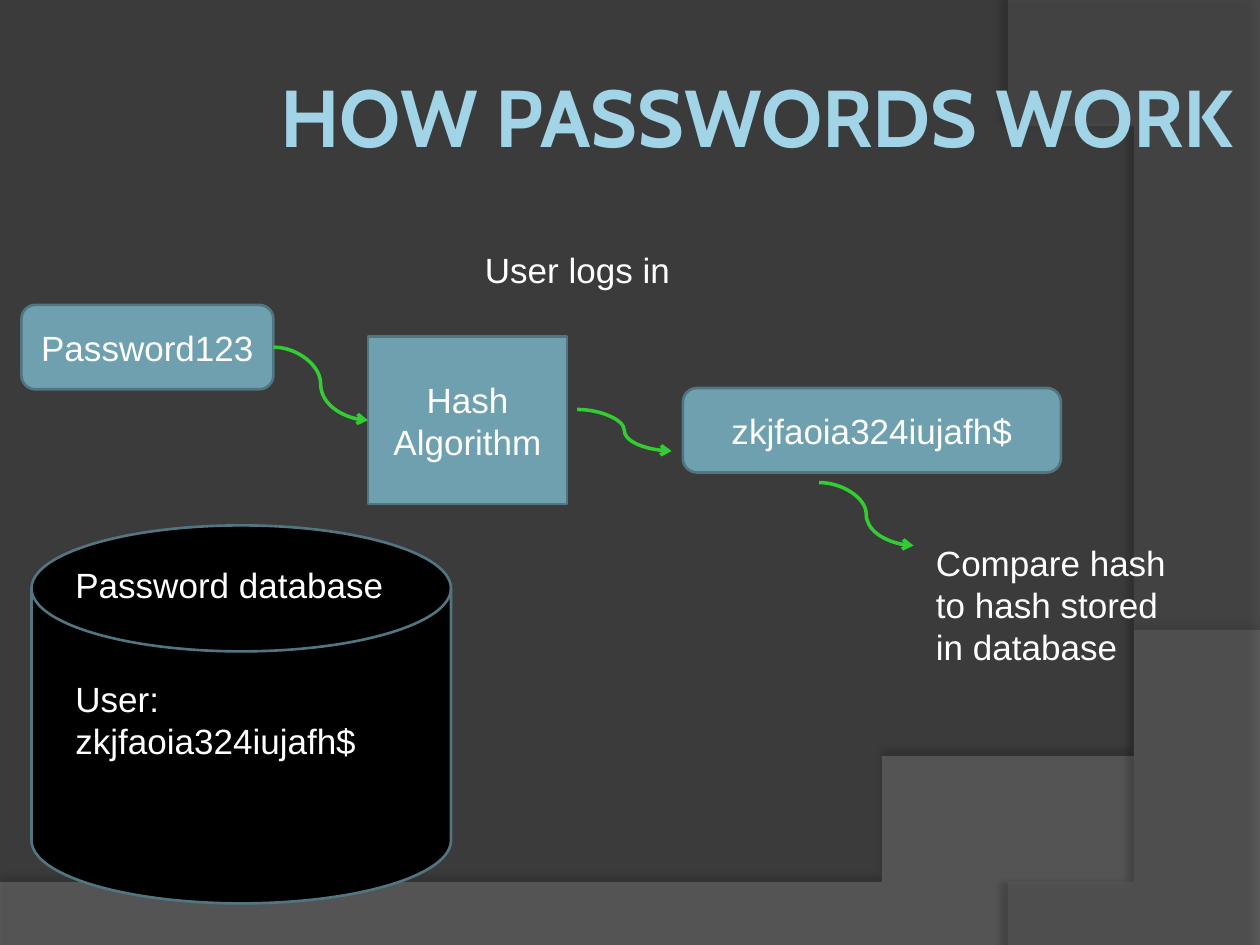
"""Build the slide that shows how password hashing works."""
import pptx
import pptx.dml.color
import pptx.enum.shapes
import pptx.enum.text
import pptx.oxml
import pptx.oxml.ns
import pptx.util

Inches, Pt = pptx.util.Inches, pptx.util.Pt
SHAPE = pptx.enum.shapes.MSO_SHAPE
ALIGN = pptx.enum.text.PP_ALIGN
ANCHOR = pptx.enum.text.MSO_ANCHOR
NS = pptx.oxml.ns.nsdecls("a")

BACKGROUND, WHITE, GREEN = "3B3B3B", "FFFFFF", "33CC33"
TITLE_COLOUR, BOX_FILL, BOX_LINE = "A1D4E7", "6EA0B0", "517682"

TITLE = "HOW PASSWORDS WORK"
HASH = "zkjfaoia324iujafh$"
SWEEPS = [
    {"curve": [(10, 5.2), (5.59, 7.29), (3.91, 7.19), (0, 7.05)],
     "corners": [(0, 7.5), (10, 7.5)],
     "fill": "7F7F7F", "opacity": 45, "shadow": (35, 4, 3.5, 270)},
    {"curve": [(8.21, 7.5), (9.35, 6.19), (10.18, 3), (8, 0)],
     "corners": [(10, 0.02), (10, 7.5)],
     "fill": "5E5E5E", "opacity": 40, "shadow": (45, 4, 4, 180)},
]
DATABASE = (SHAPE.FLOWCHART_MAGNETIC_DISK, "", (0.25, 4.17, 3.33, 3), "000000")
STEPS = [
    (SHAPE.ROUNDED_RECTANGLE, "Password123", (0.17, 2.42, 2, 0.67), BOX_FILL),
    (SHAPE.RECTANGLE, "Hash Algorithm", (2.92, 2.67, 1.58, 1.33), BOX_FILL),
    (SHAPE.ROUNDED_RECTANGLE, HASH, (5.42, 3.08, 3, 0.67), BOX_FILL),
]
LABELS = [
    ("User logs in", (3.75, 1.92, 3.08, 0.44)),
    ("Password database", (0.5, 4.42, 3, 0.44)),
    ("User: " + HASH, (0.5, 5.33, 2.83, 0.77)),
    ("Compare hash to hash stored in database", (7.33, 4.25, 2.25, 1.11)),
]
ARROWS = [
    ((2.17, 2.75), (2.92, 3.33)),
    ((4.58, 3.25), (5.33, 3.58)),
    ((6.5, 3.83), (7.25, 4.33)),
]


def rgb(colour):
    return pptx.dml.color.RGBColor.from_string(colour)


def paint(fill, colour):
    fill.solid()
    fill.fore_color.rgb = rgb(colour)


def write(frame, text, align, size=20, font="Arial", colour=WHITE, bold=False):
    frame.word_wrap = True
    paragraph = frame.paragraphs[0]
    paragraph.alignment = align
    run = paragraph.add_run()
    run.text = text
    run.font.size, run.font.name, run.font.bold = Pt(size), font, bold
    run.font.color.rgb = rgb(colour)


def bezier(start, first, second, end, steps=60):
    for step in range(steps + 1):
        t = step / steps
        weights = ((1 - t) ** 3, 3 * t * (1 - t) ** 2, 3 * t * t * (1 - t), t ** 3)
        yield tuple(sum(w * p for w, p in zip(weights, axis))
                    for axis in zip(start, first, second, end))


def add_sweep(slide, curve, corners, fill, opacity, shadow):
    points = list(bezier(*curve)) + corners
    builder = slide.shapes.build_freeform(*points[0], scale=Inches(1))
    builder.add_line_segments(points[1:], close=True)
    sweep = builder.convert_to_shape()
    paint(sweep.fill, fill)
    sweep.line.fill.background()
    properties = sweep._element.spPr
    colour = properties.find(".//" + pptx.oxml.ns.qn("a:srgbClr"))
    colour.append(pptx.oxml.parse_xml(f'<a:alpha {NS} val="{opacity * 1000}"/>'))
    strength, blur, distance, angle = shadow
    properties.append(pptx.oxml.parse_xml(
        f'<a:effectLst {NS}><a:outerShdw blurRad="{Pt(blur)}" dist="{Pt(distance)}" '
        f'dir="{angle * 60000}" algn="ctr" rotWithShape="0"><a:srgbClr val="000000">'
        f'<a:alpha val="{strength * 1000}"/></a:srgbClr></a:outerShdw></a:effectLst>'))


def add_title(slide):
    title = slide.shapes.title
    slide.shapes._spTree.append(title._element)
    title.left, title.top, title.width, title.height = map(Inches, (1.67, 0.29, 8.17, 1.25))
    frame = title.text_frame
    frame.margin_left = frame.margin_right = Inches(0.05)
    frame.margin_top = frame.margin_bottom = Inches(0.05)
    frame.vertical_anchor = ANCHOR.MIDDLE
    write(frame, TITLE, ALIGN.RIGHT, 46, "Cabin", TITLE_COLOUR, True)


def add_box(slide, kind, text, place, fill):
    box = slide.shapes.add_shape(kind, *map(Inches, place))
    box.shadow.inherit = False
    paint(box.fill, fill)
    box.line.color.rgb = rgb(BOX_LINE)
    box.line.width = Pt(1.5)
    if text:
        box.text_frame.vertical_anchor = ANCHOR.MIDDLE
        write(box.text_frame, text, ALIGN.CENTER)
    return box


def add_label(slide, text, place):
    label = slide.shapes.add_textbox(*map(Inches, place))
    write(label.text_frame, text, ALIGN.LEFT)


def add_arrow(slide, start, end):
    arrow = slide.shapes.add_connector(
        pptx.enum.shapes.MSO_CONNECTOR.CURVE, *map(Inches, start + end))
    arrow.line.color.rgb = rgb(GREEN)
    arrow.line.width = Pt(2)
    arrow.line._get_or_add_ln().append(
        pptx.oxml.parse_xml(f'<a:tailEnd {NS} type="arrow"/>'))
    arrow._element.spPr.append(pptx.oxml.parse_xml(f"<a:effectLst {NS}/>"))
    return arrow


def main():
    deck = pptx.Presentation()
    deck.slide_width, deck.slide_height = Inches(10), Inches(7.5)
    slide = deck.slides.add_slide(deck.slide_layouts[5])
    paint(slide.background.fill, BACKGROUND)
    for sweep in SWEEPS:
        add_sweep(slide, **sweep)
    add_title(slide)
    add_box(slide, *DATABASE)
    password, algorithm, _ = [add_box(slide, *step) for step in STEPS]
    for label in LABELS:
        add_label(slide, *label)
    arrows = [add_arrow(slide, *ends) for ends in ARROWS]
    arrows[0].begin_connect(password, 3)
    arrows[0].end_connect(algorithm, 1)
    deck.save("out.pptx")


if __name__ == "__main__":
    main()
